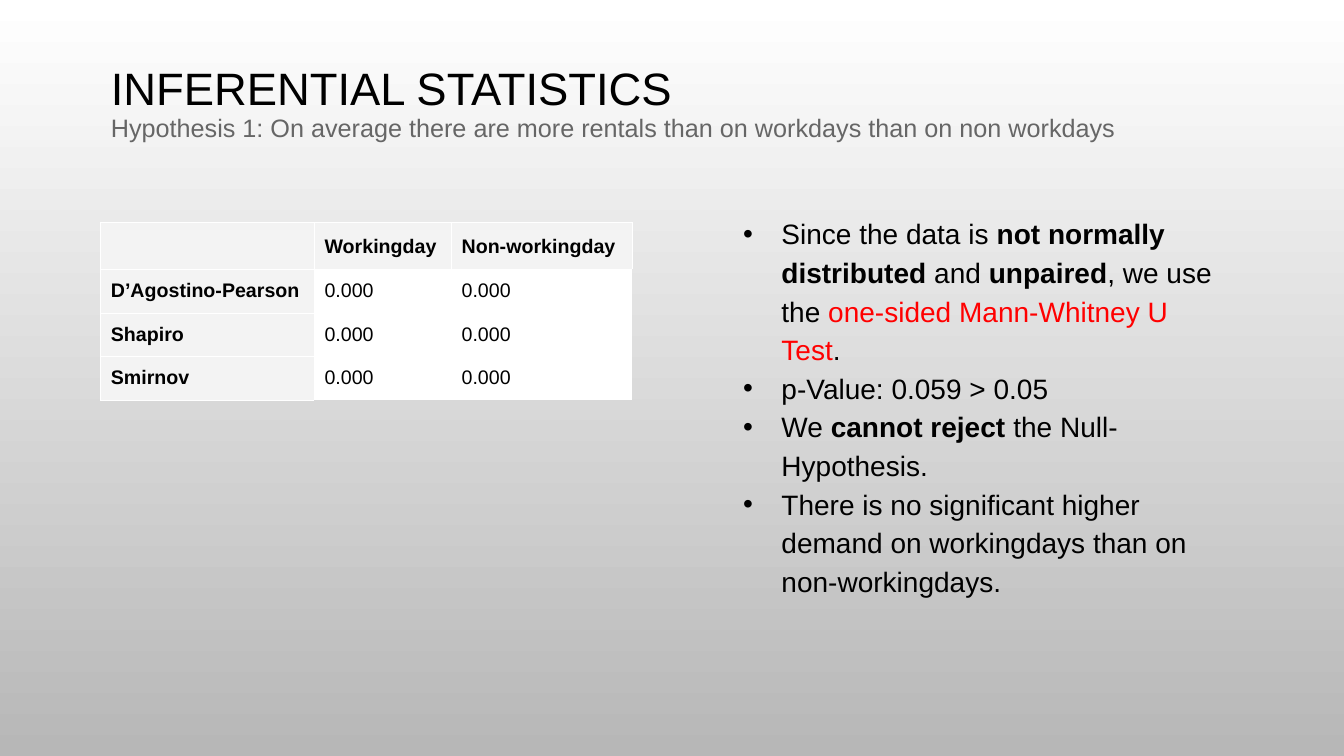
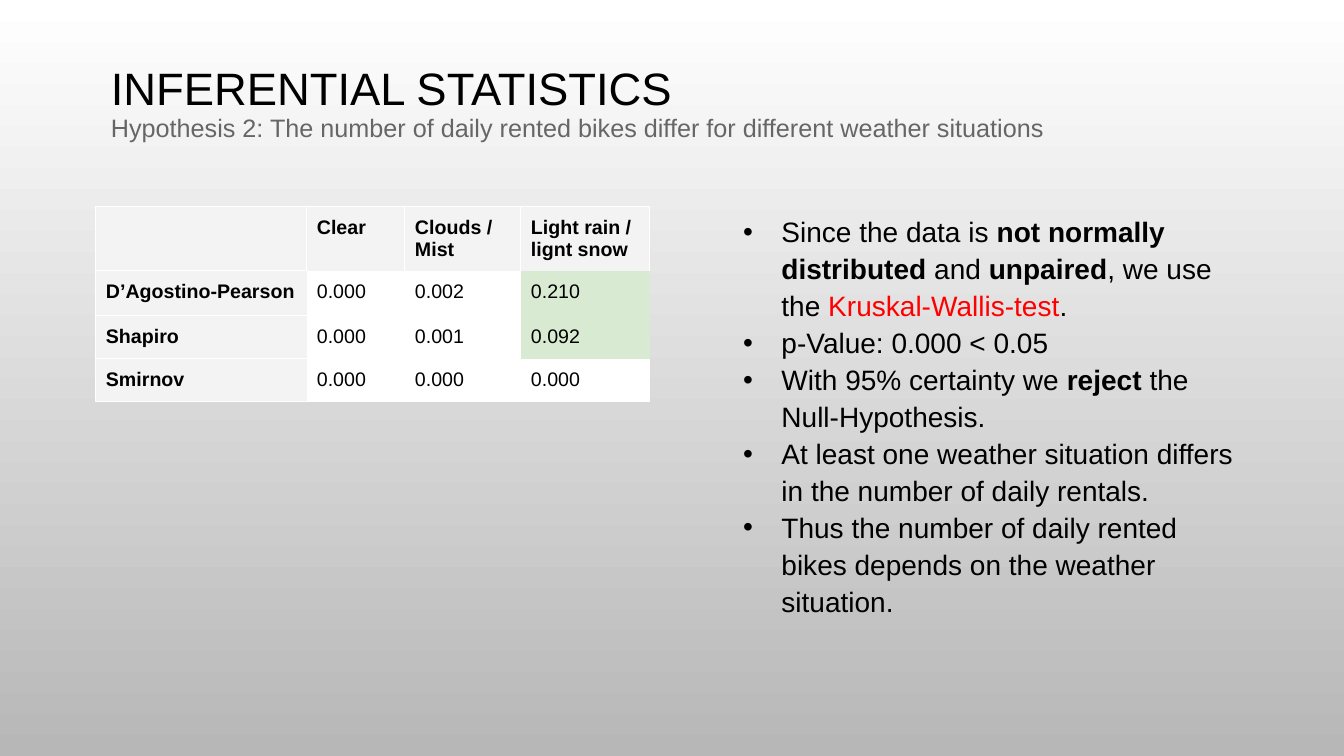
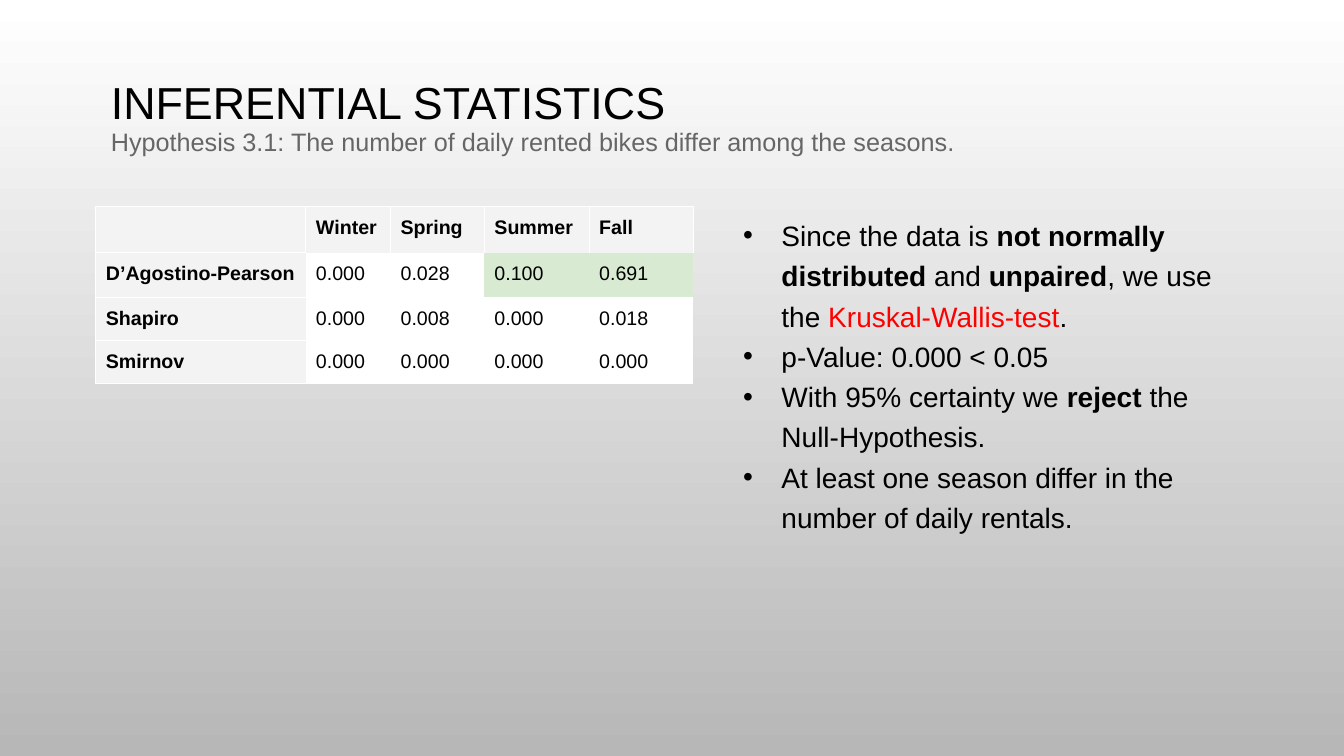
from lxml import etree
from pptx import Presentation
from pptx import util as u
from pptx.dml.color import RGBColor
from pptx.enum import text
from pptx.oxml.ns import qn

FONT = "Arial"
BLACK, GREY, RED, WHITE = "000000", "666666", "FF0000", "FFFFFF"
HEADER_FILL, NORMAL_FILL, BACKDROP_END = "F3F3F3", "D9EAD3", "B7B7B7"
NO_TABLE_STYLE = "{2D5ABB26-0587-4C30-8999-92F81FD0307C}"
TITLE = "INFERENTIAL STATISTICS"
OPENING = "Since the data is *not normally distributed* and *unpaired*, we use the *{}*."
REJECTED = ["p-Value: 0.000 < 0.05", "With 95% certainty we *reject *the Null-Hypothesis."]
ROW_HEIGHTS = [6.13, 5.87, 5.73, 5.73]  # percent of the slide height

# Places and column widths are percents of the slide size; asterisks enclose stressed words.
PAGES = [
    dict(
        hypothesis="Hypothesis 1: On average there are more rentals than on workdays"
                   " than on non workdays",
        title_size=32.4, title_height=9.6,
        test="one-sided Mann-Whitney U Test",
        points=["p-Value: 0.059 > 0.05",
                "We *cannot reject *the Null-Hypothesis.",
                "There is no significant higher demand on workingdays than on non-workingdays."],
        line_spacing=1.15, space_before=0,
        table_at=(7.5, 29.47), header_spacing=1.15,
        widths=[15.9, 10.2, 13.43],
        cells=[["", "Workingday", "Non-workingday"],
               ["D’Agostino-Pearson", "0.000", "0.000"],
               ["Shapiro", "0.000", "0.000"],
               ["Smirnov", "0.000", "0.000"]],
    ),
    dict(
        hypothesis="Hypothesis 2: The number of daily rented bikes differ"
                   " for different weather situations",
        title_size=32.4, title_height=9.6,
        test="Kruskal-Wallis-test",
        points=REJECTED + [
            "At least one weather situation differs in the number of daily rentals.",
            "Thus the number of daily rented bikes depends on the weather situation."],
        line_spacing=1.1, space_before=10,
        table_at=(7.13, 27.33), header_spacing=1,
        widths=[15.7, 7.3, 8.63, 9.6],
        cells=[["", "Clear", "Clouds / Mist", "Light rain / lignt snow"],
               ["D’Agostino-Pearson", "0.000", "0.002", "0.210"],
               ["Shapiro", "0.000", "0.001", "0.092"],
               ["Smirnov", "0.000", "0.000", "0.000"]],
    ),
    dict(
        hypothesis="Hypothesis 3.1: The number of daily rented bikes differ among the seasons.",
        title_size=32, title_height=13.33,
        test="Kruskal-Wallis-test",
        points=REJECTED + ["At least one season differ in the number of daily rentals."],
        line_spacing=1.2, space_before=10,
        table_at=(7.13, 27.33), header_spacing=1,
        widths=[15.63, 6.3, 6.98, 7.8, 7.73],
        cells=[["", "Winter", "Spring", "Summer", "Fall"],
               ["D’Agostino-Pearson", "0.000", "0.028", "0.100", "0.691"],
               ["Shapiro", "0.000", "0.008", "0.000", "0.018"],
               ["Smirnov", "0.000", "0.000", "0.000", "0.000"]],
    ),
]

deck = Presentation()
deck.slide_width, deck.slide_height = u.Inches(13.33), u.Inches(7.5)
percent_x, percent_y = deck.slide_width / 100, deck.slide_height / 100


def paint(target, color):
    """Give a fill or a font a solid colour from a hex string."""
    if hasattr(target, "solid"):
        target.solid()
        target.fore_color.rgb = RGBColor.from_string(color)
    else:
        target.color.rgb = RGBColor.from_string(color)


def place(shape, left, top, width, height):
    """Set a shape's box in percents of the slide size."""
    shape.left, shape.width = round(left * percent_x), round(width * percent_x)
    shape.top, shape.height = round(top * percent_y), round(height * percent_y)


backdrop = deck.slide_master.background.fill
backdrop.gradient()
backdrop.gradient_angle = 270
for stop, color in zip(backdrop.gradient_stops, (WHITE, BACKDROP_END)):
    stop.color.rgb = RGBColor.from_string(color)

layout = deck.slide_layouts.get_by_name("Title and Content")
place(layout.placeholders[1], 53.64, 27.33, 38.93, 57.2)

for content in PAGES:
    page = deck.slides.add_slide(layout)

    title = page.shapes.title
    place(title, 7.5, 9.07, 85, content["title_height"])
    title.text_frame.text = TITLE + "\n" + content["hypothesis"]
    title.text_frame.auto_size = text.MSO_AUTO_SIZE.NONE
    title.text_frame.vertical_anchor = text.MSO_ANCHOR.MIDDLE
    title_styles = [(content["title_size"], BLACK), (18, GREY)]
    for para, (size, color) in zip(title.text_frame.paragraphs, title_styles):
        para.alignment = text.PP_ALIGN.LEFT
        para.line_spacing = 0.9
        para.font.name, para.font.size = FONT, u.Pt(size)
        paint(para.font, color)

    body = page.placeholders[1].text_frame
    body.auto_size = text.MSO_AUTO_SIZE.NONE
    points = [OPENING.format(content["test"])] + content["points"]
    for index, point in enumerate(points):
        para = body.add_paragraph() if index else body.paragraphs[0]
        para.line_spacing = content["line_spacing"]
        para.space_before = u.Pt(0 if index else content["space_before"])
        para.font.name, para.font.size = FONT, u.Pt(20)
        paint(para.font, BLACK)
        properties = para._p.get_or_add_pPr()
        properties.set("marL", str(u.Inches(0.5)))
        properties.set("indent", str(u.Inches(-0.38)))
        for order, words in enumerate(point.split("*")):
            span = para.add_run()
            span.text = words
            if words == content["test"]:
                paint(span.font, RED)
            elif order % 2:
                span.font.bold = True

    cells, widths = content["cells"], content["widths"]
    frame = page.shapes.add_table(len(cells), len(widths), 0, 0, 0, 0)
    place(frame, *content["table_at"], sum(widths), sum(ROW_HEIGHTS))
    table = frame.table
    table.first_row = table.horz_banding = False
    table._tbl.tblPr.find(qn("a:tableStyleId")).text = NO_TABLE_STYLE
    for column, width in zip(table.columns, widths):
        column.width = round(width * percent_x)
    for row, height in zip(table.rows, ROW_HEIGHTS):
        row.height = round(height * percent_y)

    for i, values in enumerate(cells):
        for j, value in enumerate(values):
            cell = table.cell(i, j)
            cell.margin_left = cell.margin_right = u.Inches(0.1)
            cell.margin_top = cell.margin_bottom = u.Inches(0.1)
            heading = i == 0 or j == 0
            sides = ("LRTB" if j == 0 else "LRT") if i == 0 else ("LTB" if j == 0 else "")
            for side in sides:
                border = etree.SubElement(cell._tc.get_or_add_tcPr(), qn("a:ln" + side),
                                          w=str(u.Pt(0.75)))
                solid = etree.SubElement(border, qn("a:solidFill"))
                etree.SubElement(solid, qn("a:srgbClr"), val=WHITE)
            if heading:
                fill = HEADER_FILL
            else:
                fill = NORMAL_FILL if float(value) > 0.05 else WHITE
            paint(cell.fill, fill)
            cell.text = value
            para = cell.text_frame.paragraphs[0]
            para.line_spacing = content["header_spacing"] if i == 0 else 1
            para.font.name, para.font.size, para.font.bold = FONT, u.Pt(14), heading
            paint(para.font, BLACK)

deck.save("out.pptx")
